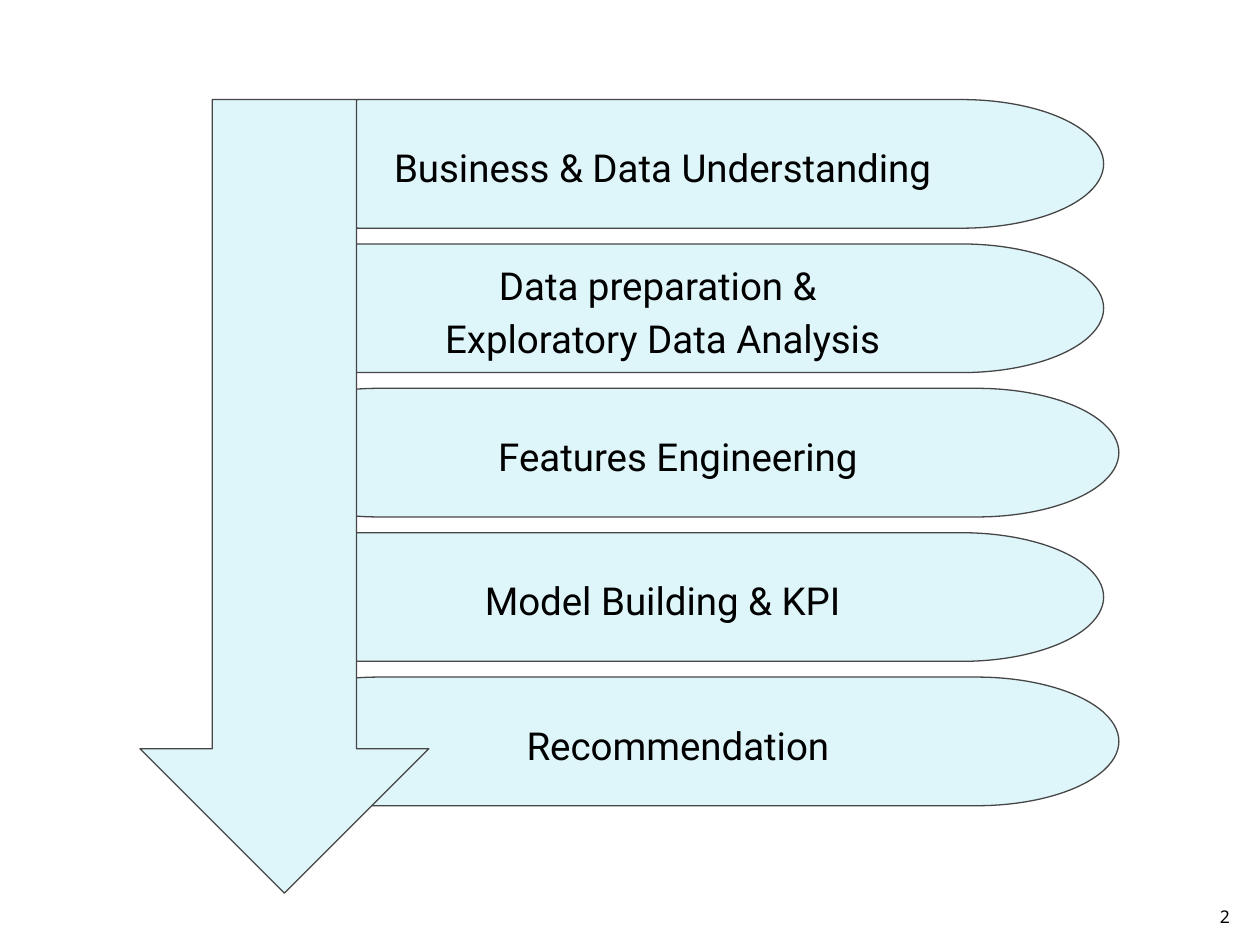
"""Build a slide of five project stages beside a downward arrow."""
from dataclasses import dataclass

from pptx import Presentation
from pptx.dml.color import RGBColor
from pptx.enum.shapes import MSO_SHAPE
from pptx.enum.text import MSO_ANCHOR, PP_ALIGN
from pptx.shapes.autoshape import Shape
from pptx.slide import Slide
from pptx.util import Pt

COLORS = {"fill": "DEF5FA", "line": "464646", "text": "000000"}
STAGE_TOP, STAGE_STEP = 56.9, 82.5
STAGE_WIDTH, STAGE_HEIGHT = 504, 73.5
LEFT, LEFT_INDENTED = 126.7, 135.4


@dataclass(frozen=True)
class Box:
    left: float
    top: float
    width: float
    height: float

    def lengths(self) -> list[Pt]:
        return [Pt(value) for value in (self.left, self.top, self.width, self.height)]


@dataclass(frozen=True)
class Stage:
    lines: tuple[str, ...]
    left: float = LEFT


STAGES = (
    Stage(("Business & Data Understanding",)),
    Stage(("Data preparation & ", "Exploratory Data Analysis")),
    Stage(("Features Engineering",), LEFT_INDENTED),
    Stage(("Model Building & KPI",)),
    Stage(("Recommendation",), LEFT_INDENTED),
)
ARROW = Box(80, STAGE_TOP, 165, 453.5)
NUMBER = Box(681, 504.7, 28.8, 28.8)

STAGE_FRAME = {
    "word_wrap": True,
    "vertical_anchor": MSO_ANCHOR.MIDDLE,
    "margin_left": Pt(7.2),
    "margin_right": Pt(7.2),
    "margin_top": Pt(7.2),
    "margin_bottom": Pt(7.2),
}
NUMBER_FRAME = STAGE_FRAME | {
    "vertical_anchor": MSO_ANCHOR.BOTTOM,
    "margin_top": Pt(3.6),
    "margin_bottom": Pt(3.6),
}
STAGE_PARAGRAPH = {"alignment": PP_ALIGN.CENTER, "line_spacing": 1.15}
NUMBER_PARAGRAPH = {"alignment": PP_ALIGN.RIGHT}
STAGE_FONT = {"name": "Roboto", "size": Pt(22)}
NUMBER_FONT = {"name": "Noto Sans", "size": Pt(10)}


def apply(target: object, values: dict) -> None:
    for name, value in values.items():
        setattr(target, name, value)


def color(name: str) -> RGBColor:
    return RGBColor.from_string(COLORS[name])


def write_lines(shape: Shape, lines: tuple[str, ...], frame_format: dict,
                paragraph_format: dict, font_format: dict) -> None:
    frame = shape.text_frame
    apply(frame, frame_format)
    for index, line in enumerate(lines):
        paragraph = frame.add_paragraph() if index else frame.paragraphs[0]
        apply(paragraph, paragraph_format)
        run = paragraph.add_run()
        run.text = line
        apply(run.font, font_format)
        run.font.color.rgb = color("text")


def add_outlined(slide: Slide, kind: MSO_SHAPE, box: Box) -> Shape:
    shape = slide.shapes.add_shape(kind, *box.lengths())
    shape.shadow.inherit = False
    shape.fill.solid()
    shape.fill.fore_color.rgb = color("fill")
    shape.line.color.rgb = color("line")
    shape.line.width = Pt(0.75)
    return shape


def add_stage(slide: Slide, stage: Stage, index: int) -> None:
    box = Box(stage.left, STAGE_TOP + index * STAGE_STEP, STAGE_WIDTH, STAGE_HEIGHT)
    shape = add_outlined(slide, MSO_SHAPE.FLOWCHART_TERMINATOR, box)
    write_lines(shape, stage.lines, STAGE_FRAME, STAGE_PARAGRAPH, STAGE_FONT)


def main() -> None:
    presentation = Presentation()
    apply(presentation, {"slide_width": Pt(720), "slide_height": Pt(540)})
    slide = presentation.slides.add_slide(presentation.slide_layouts.get_by_name("Blank"))
    number = slide.shapes.add_textbox(*NUMBER.lengths())
    write_lines(number, ("2",), NUMBER_FRAME, NUMBER_PARAGRAPH, NUMBER_FONT)
    for index, stage in enumerate(STAGES):
        add_stage(slide, stage, index)
    add_outlined(slide, MSO_SHAPE.DOWN_ARROW, ARROW)
    presentation.save("out.pptx")


if __name__ == "__main__":
    main()
